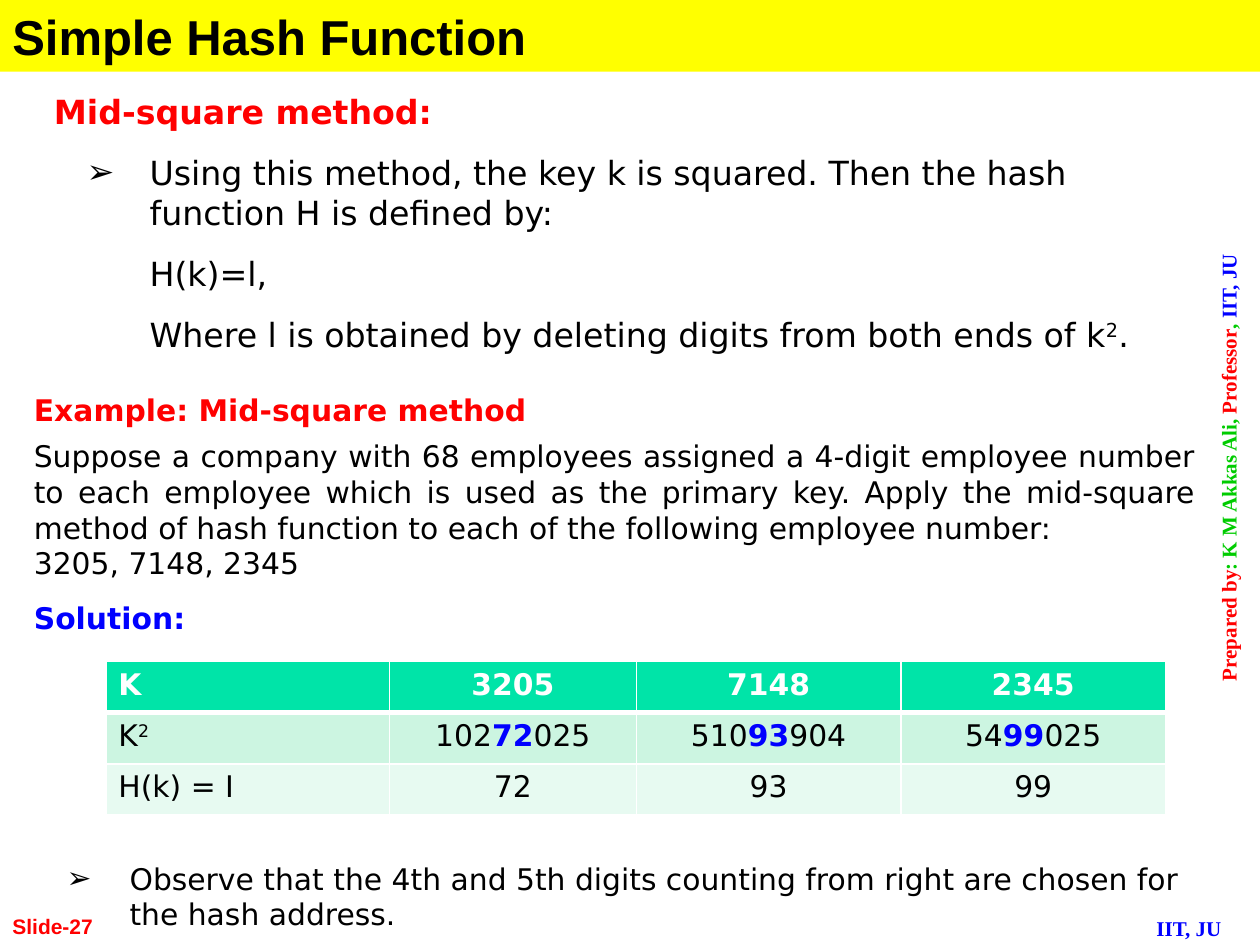
from lxml import etree
from pptx import Presentation
from pptx.dml.color import RGBColor
from pptx.enum.shapes import MSO_SHAPE
from pptx.enum.text import MSO_ANCHOR, PP_ALIGN
from pptx.oxml.ns import qn
from pptx.util import Inches, Pt

RECT = MSO_SHAPE.RECTANGLE
TOP, MID, BASE = MSO_ANCHOR.TOP, MSO_ANCHOR.MIDDLE, MSO_ANCHOR.BOTTOM
LEFT, MIDDLE, JUST = PP_ALIGN.LEFT, PP_ALIGN.CENTER, PP_ALIGN.JUSTIFY

BLACK, WHITE, RED, GREEN, BLUE = "000000", "FFFFFF", "FF0000", "00CC00", "0000FF"
SANS, SERIF, PLAIN = "DejaVu Sans", "Times New Roman", "Arial"

LEAD = {"size": Pt(19), "name": SANS, "bold": False, "color": BLACK}
BODY = {**LEAD, "size": Pt(17)}
SIGN = {"size": Pt(12), "name": SERIF, "bold": True, "color": BLUE}
TITLE = {"size": Pt(28), "name": PLAIN, "bold": True, "color": BLACK}
PAGE = {**TITLE, "size": Pt(12), "color": RED}


def tint(code):
    return RGBColor.from_string(code)


def paint(fill, code):
    fill.solid()
    fill.fore_color.rgb = tint(code)


def add_run(para, text, style, base=0):
    run = para.add_run()
    run.text = text
    for key, value in style.items():
        if key == "color":
            run.font.color.rgb = tint(value)
        else:
            setattr(run.font, key, value)
    if base:
        run._r.get_or_add_rPr().set("baseline", str(base * 1000))


def set_para(para, runs, align=LEFT, before=0, after=0, inset=0, mark=None):
    props = para._p.get_or_add_pPr()
    if inset:
        props.set("marL", str(Inches(inset)))
        props.set("indent", str(Inches(-0.5) if mark else 0))
    para.alignment = align
    para.space_before, para.space_after = Pt(before), Pt(after)
    if mark:
        etree.SubElement(props, qn("a:buFont")).set("typeface", PLAIN)
        etree.SubElement(props, qn("a:buChar")).set("char", mark)
    for run in runs:
        add_run(para, *run)


def fill_text(frame, paras, anchor=TOP):
    frame.word_wrap = True
    frame.vertical_anchor = anchor
    for i, (runs, form) in enumerate(paras):
        para = frame.add_paragraph() if i else frame.paragraphs[0]
        set_para(para, runs, **form)


def add_text(slide, box, paras, anchor=TOP):
    frame = slide.shapes.add_textbox(*map(Inches, box)).text_frame
    fill_text(frame, paras, anchor)
    return frame


def add_bar(slide, box, code, paras):
    bar = slide.shapes.add_shape(RECT, *map(Inches, box))
    bar.shadow.inherit = False
    paint(bar.fill, code)
    bar.line.fill.background()
    fill_text(bar.text_frame, paras)


def add_edge(cell, side, width):
    line = etree.SubElement(cell._tc.get_or_add_tcPr(), qn("a:" + side))
    line.set("w", str(Pt(width)))
    fill = etree.SubElement(line, qn("a:solidFill"))
    etree.SubElement(fill, qn("a:srgbClr")).set("val", WHITE)


def add_grid(slide, box, widths, fills, rows):
    grid = slide.shapes.add_table(len(rows), len(widths), *map(Inches, box)).table
    for col, width in zip(grid.columns, widths):
        col.width = Inches(width)
    for r, row in enumerate(rows):
        for c, runs in enumerate(row):
            cell = grid.cell(r, c)
            # The rule under the header is thicker
            for side, thick in (("lnL", 0), ("lnR", 0), ("lnT", r == 1), ("lnB", r == 0)):
                add_edge(cell, side, 3 if thick else 1)
            paint(cell.fill, fills[r])
            set_para(cell.text_frame.paragraphs[0], runs, MIDDLE if c else LEFT)


def main():
    deck = Presentation()
    deck.slide_width, deck.slide_height = Inches(10), Inches(7.5)
    slide = deck.slides.add_slide(deck.slide_layouts[6])

    # Signature at the right edge and foot
    credit = [("Prepared by", RED), (": K M Akkas Ali, ", GREEN), ("Professor", RED),
              (", ", GREEN), ("IIT, JU", BLUE)]
    runs = [(text, {**SIGN, "color": code}) for text, code in credit]
    side = add_text(slide, (9.6, 0.25, 0.4, 6.92), [(runs, {"align": MIDDLE})])
    side._txBody.bodyPr.set("vert", "vert270")
    add_text(slide, (9.08, 7.22, 0.92, 0.3), [([("IIT, JU", SIGN)], {})])

    # Title bar
    add_bar(slide, (0, 0, 10, 0.57), "FFFF00", [([("Simple Hash Function", TITLE)], {})])

    # Method
    gap = {"before": 6, "after": 6}
    deep = {**gap, "inset": 0.76}
    item = {**deep, "mark": "➢"}
    head = {"bold": True, "color": RED}
    add_text(slide, (0.33, 0.67, 9, 2.2), [
        ([("Mid-square method:", {**LEAD, **head})], {"after": 6}),
        ([("Using this method, the key k is squared. Then the hash function H "
           "is defined by:", LEAD)], item),
        ([("H(k)=l,", LEAD)], deep),
        ([("Where l is obtained by deleting digits from both ends of k", LEAD),
          ("2", LEAD, 30), (".", LEAD)], deep),
    ], MID)

    # Example
    add_text(slide, (0.17, 3.06, 9.42, 2.1), [
        ([("Example: Mid-square method", {**BODY, **head})], {"after": 6}),
        ([("Suppose a company with 68 employees assigned a 4-digit employee number "
           "to each employee which is used as the primary key. Apply the mid-square "
           "method of hash function to each of the following employee number:", BODY)],
         {"align": JUST}),
        ([("3205, 7148, 2345", BODY)], {}),
        ([("Solution:", {**BODY, "bold": True, "color": BLUE})], {"before": 11}),
    ])

    # Table of squares, with the chosen digits marked
    top = {**BODY, "bold": True, "color": WHITE}
    pick = {**BODY, "bold": True, "color": BLUE}
    keys = [("3205", "102", "72", "025"), ("7148", "510", "93", "904"),
            ("2345", "54", "99", "025")]
    rows = [
        [[("K", top)]] + [[(key, top)] for key, *_ in keys],
        [[("K", BODY), ("2", BODY, 30)]]
        + [[(a, BODY), (mid, pick), (b, BODY)] for _, a, mid, b in keys],
        [[("H(k) = I", BODY)]] + [[(mid, BODY)] for _, _, mid, _ in keys],
    ]
    add_grid(slide, (0.84, 5.25, 8.41, 1.22), (2.25, 1.96, 2.1, 2.1),
             ("00E4A8", "CCF5E1", "E7FAF1"), rows)

    # Closing remark
    add_text(slide, (0.17, 6.78, 9.42, 0.67), [
        ([("Observe that the 4th and 5th digits counting from right are chosen "
           "for the hash address.", BODY)], {**item, "before": 0}),
    ])

    # Slide number
    add_text(slide, (0, 7, 2.08, 0.5), [([("Slide-27", PAGE)], {})], BASE)

    deck.save("out.pptx")


if __name__ == "__main__":
    main()
